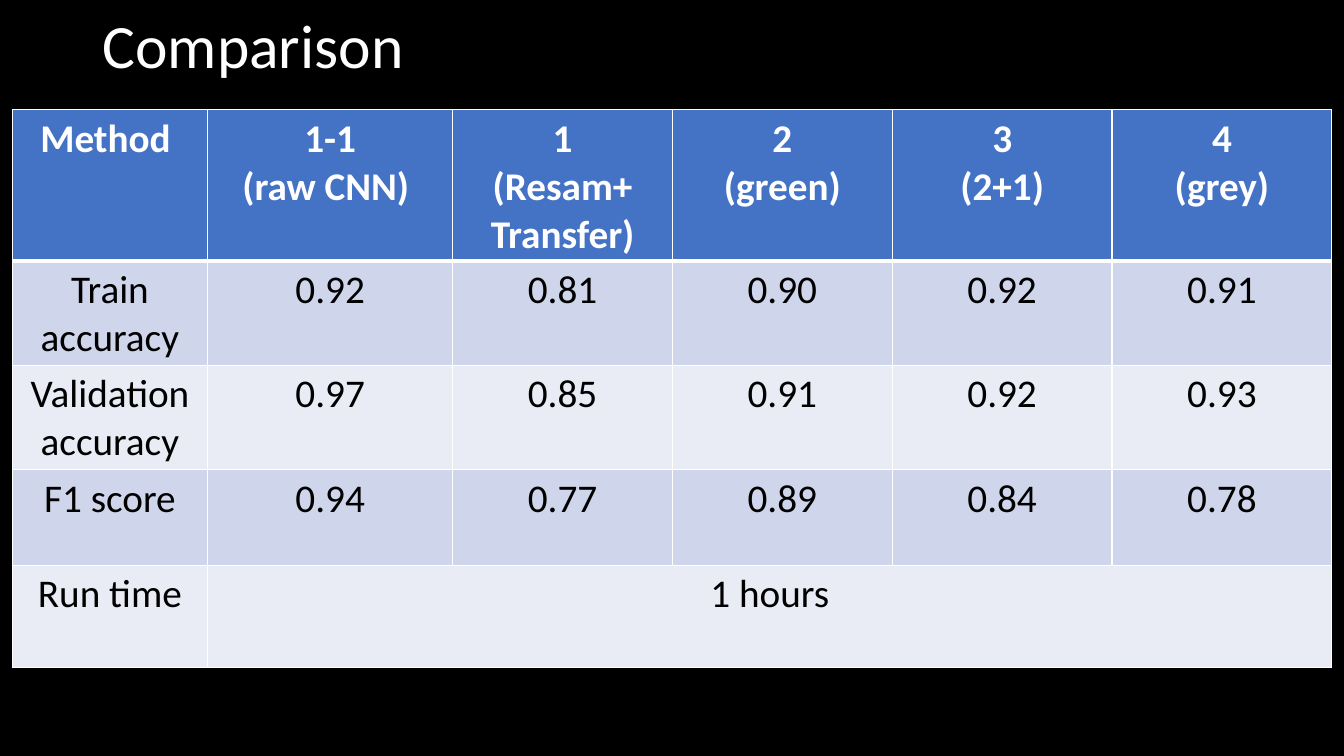
from lxml.etree import SubElement
from pptx import Presentation
from pptx.dml.color import RGBColor
from pptx.enum.text import MSO_ANCHOR, PP_ALIGN
from pptx.oxml.ns import qn
from pptx.util import Inches, Pt

BLACK, WHITE, HEADER_BLUE = "000000", "FFFFFF", "4472C4"
BANDS = ("CFD5EA", "E9EBF5")
COLUMN_WIDTHS = (1.94, 2.43, 2.18, 2.18, 2.18, 2.18)
ROW_HEIGHTS = (0.91, 1.01, 0.95, 0.95, 1.01)
RESULTS = (
    ("Method ", "1-1\n(raw CNN) ", "1\n(Resam+\nTransfer)", "2\n(green)", "3\n(2+1)", "4\n(grey)"),
    ("Train accuracy", "0.92", "0.81", "0.90", "0.92", "0.91"),
    ("Validation accuracy", "0.97", "0.85", "0.91", "0.92", "0.93"),
    ("F1 score", "0.94", "0.77", "0.89", "0.84", "0.78"),
    ("Run time", "1 hours"),
)


def color(code):
    return RGBColor.from_string(code)


def style_font(font, code, **formats):
    for attribute, value in {"name": "Calibri", **formats}.items():
        setattr(font, attribute, value)
    font.color.rgb = color(code)


def add_borders(cell, code, widths):
    """Draw cell edges; widths maps L, R, T and B, in that order, to points."""
    properties = cell._tc.get_or_add_tcPr()
    for position, (side, width) in enumerate(widths.items()):
        edge = SubElement(properties, qn(f"a:ln{side}"), w=str(Pt(width)))
        fill = SubElement(edge, qn("a:solidFill"))
        SubElement(fill, qn("a:srgbClr"), val=code)
        properties.insert(position, edge)


def add_title(slide, left, top, width, height):
    frame = slide.shapes.add_textbox(*map(Inches, (left, top, width, height))).text_frame
    frame.word_wrap = True
    frame.vertical_anchor = MSO_ANCHOR.MIDDLE
    heading = frame.paragraphs[0]
    heading.text = "Comparison"
    heading.line_spacing = 0.9
    style_font(heading.font, WHITE, size=Pt(44))


def style_cell(cell, row):
    is_header = row == 0
    cell.fill.solid()
    cell.fill.fore_color.rgb = color(HEADER_BLUE if is_header else BANDS[(row - 1) % 2])
    add_borders(cell, WHITE, {"L": 1, "R": 1, "T": 3 if row == 1 else 1, "B": 3 if is_header else 1})
    for line in cell.text_frame.paragraphs:
        line.alignment = PP_ALIGN.CENTER
        style_font(line.font, WHITE if is_header else BLACK, size=Pt(28), bold=is_header)


def add_results(slide, left, top, width, height):
    box = map(Inches, (left, top, width, height))
    table = slide.shapes.add_table(len(ROW_HEIGHTS), len(COLUMN_WIDTHS), *box).table
    for column, column_width in zip(table.columns, COLUMN_WIDTHS):
        column.width = Inches(column_width)
    for row, row_height in zip(table.rows, ROW_HEIGHTS):
        row.height = Inches(row_height)
    last = len(ROW_HEIGHTS) - 1
    table.cell(last, 1).merge(table.cell(last, len(COLUMN_WIDTHS) - 1))
    for r, values in enumerate(RESULTS):
        for c, value in enumerate(values):
            table.cell(r, c).text = value
        for c in range(len(COLUMN_WIDTHS)):
            style_cell(table.cell(r, c), r)


def main():
    deck = Presentation()
    deck.slide_width, deck.slide_height = Inches(13.33), Inches(7.5)
    slide = deck.slides.add_slide(deck.slide_layouts[6])
    slide.background.fill.solid()
    slide.background.fill.fore_color.rgb = color(BLACK)
    add_title(slide, 0.92, -0.24, 11.5, 1.45)
    add_results(slide, 0.12, 1.09, sum(COLUMN_WIDTHS), sum(ROW_HEIGHTS))
    deck.save("out.pptx")


if __name__ == "__main__":
    main()
